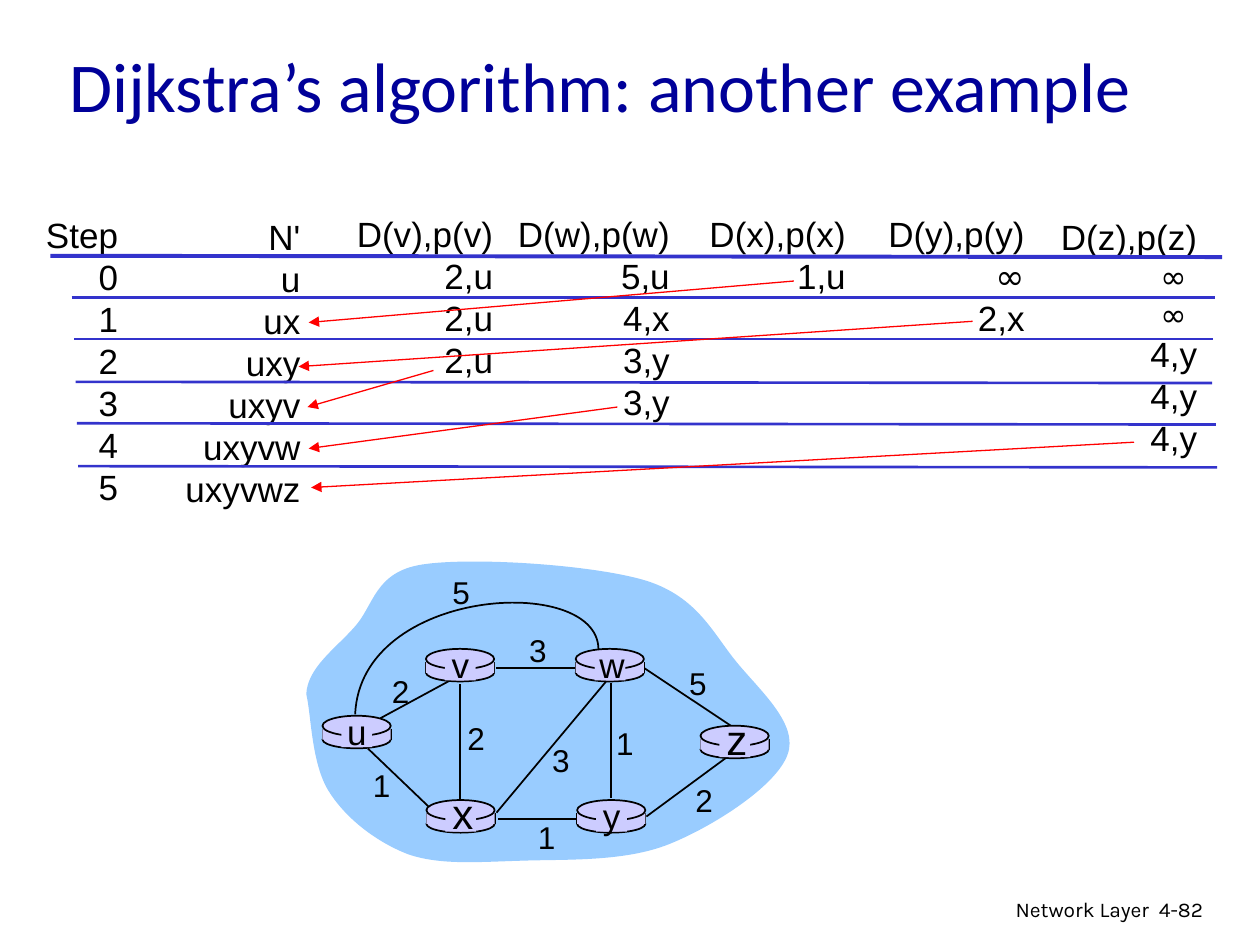
from dataclasses import dataclass

import pptx
import pptx.dml.color
import pptx.enum.shapes
import pptx.enum.text
import pptx.oxml
import pptx.oxml.ns
import pptx.util

Pt = pptx.util.Pt
Align = pptx.enum.text.PP_ALIGN
Anchor = pptx.enum.text.MSO_ANCHOR
Shape = pptx.enum.shapes.MSO_SHAPE


@dataclass(frozen=True)
class Theme:
    ink: str = "000000"
    title: str = "000099"
    rule: str = "3333CC"
    arrow: str = "FF0000"
    cloud: str = "99CCFF"
    router: str = "CCCCFF"
    body_font: str = "Arial"
    title_font: str = "Calibri"
    symbol_font: str = "Comic Neue"
    footer_font: str = "Karla"
    title_size: float = 40
    large_size: float = 24
    body_size: float = 20
    small_size: float = 18
    footer_size: float = 12
    line_spacing: float = 1.2
    inset: float = 3.6


THEME = Theme()
INFINITY = ("∞", {"font": THEME.symbol_font})
SMALL_INFINITY = ("∞ ", {"font": THEME.symbol_font, "size": THEME.small_size})

# left, top, width, lines
COLUMNS = [
    (19, 118.4, 55.6, ["Step", "0", "1", "2", "3", "4", "5"]),
    (98.6, 119.5, 80.2, ["N'", "u", "ux", "uxy", "uxyv", "uxyvw", "uxyvwz"]),
    (196.6, 118.1, 92.3, ["D(v),p(v)", "2,u", "2,u", "2,u"]),
    (287.9, 118.1, 102, ["D(w),p(w)", "5,u", "4,x", "3,y", "3,y"]),
    (398.2, 118.1, 92.2, ["D(x),p(x)", "1,u"]),
    (500.4, 118.1, 92.2, ["D(y),p(y)", INFINITY, "2,x"]),
    (599, 119.5, 92.2,
     ["D(z),p(z)", SMALL_INFINITY, SMALL_INFINITY, "4,y", "4,y", "4,y"]),
]
HEADER_RULE = ((28.8, 146.2), (698.4, 146.9))
ROW_RULES = [
    ((41, 169.9), (694.1, 169.9)),
    ((42.5, 193.7), (693.4, 193.7)),
    ((43.2, 218.2), (692.6, 218.9)),
    ((43.9, 241.9), (694.8, 242.6)),
    ((44.6, 266.4), (695.5, 267.1)),
]
CHOICE_ARROWS = [
    ((453.6, 160.6), (176.4, 184.3)),
    ((555.8, 183.6), (170.6, 209.5)),
    ((247.7, 211.7), (175.7, 232.6)),
    ((352.8, 232.6), (176.4, 256.3)),
    ((648, 252.7), (177.8, 278.6)),
]
# Each curve is a start point followed by groups of two controls and an end.
CLOUD = [
    (175, 396.7),
    (175.7, 381.6), (191.5, 370.8), (202.3, 358.6),
    (213.8, 346.3), (213.8, 326.9), (241.2, 322.6),
    (269.3, 318.2), (339.1, 322.6), (369.4, 331.9),
    (398.9, 341.3), (407.5, 362.2), (421.2, 378.7),
    (434.9, 395.3), (456.5, 414), (450, 431.3),
    (443.5, 449.3), (407.5, 472.3), (382.3, 482.4),
    (357.1, 492.5), (324, 491), (299.5, 491.8),
    (274.3, 492.5), (252, 494.6), (233.3, 488.2),
    (214.6, 481), (197.3, 467.3), (187.9, 452.2),
    (177.8, 436.3), (177.8, 407.5), (175, 396.7),
]
EDGE_U_W = [(342, 370.8), (341.3, 327.6), (205.9, 335.5), (203, 408.2)]
# start, end, weight, left and top of the weight
EDGES = [
    ((217.4, 410.4), (259.9, 387.4), "2", (216.7, 380.2)),
    ((262.8, 391), (262.8, 457.9), "2", (259.9, 407.5)),
    ((244.8, 460.8), (210.2, 427.7), "1", (205.9, 434.2)),
    ((283.7, 464.4), (346.3, 389.5), "3", (308.2, 419.8)),
    ((329.8, 468), (284.4, 468), "1", (300.2, 463.7)),
    ((349.2, 390.2), (349.2, 455.8), "1", (344.9, 410.4)),
    ((369.4, 466.6), (415.4, 432.7), "2", (390.2, 442.8)),
    ((417.6, 414.7), (367.9, 381.6), "5", (386.6, 375.8)),
    ((329, 381.6), (283.7, 381.6), "3", (295.2, 357.1)),
]
ROUTERS = [
    ("u", 184.3, 409, THEME.body_size),
    ("y", 329.8, 457.2, THEME.body_size),
    ("x", 243.7, 457.2, THEME.large_size),
    ("w", 329, 370.8, THEME.body_size),
    ("v", 243.4, 370.8, THEME.body_size),
    ("z", 400.3, 414.7, THEME.large_size),
]


def rgb(value):
    return pptx.dml.color.RGBColor.from_string(value)


def bend_segments(shape):
    """Turn every three straight segments of a freeform into one cubic curve."""
    qn = pptx.oxml.ns.qn
    segments = list(shape._element.iter(qn("a:lnTo")))
    for index in range(0, len(segments), 3):
        curve = pptx.oxml.parse_xml(f'<a:cubicBezTo {pptx.oxml.ns.nsdecls("a")}/>')
        segments[index].addprevious(curve)
        for segment in segments[index:index + 3]:
            curve.append(segment.find(qn("a:pt")))
            segment.getparent().remove(segment)


def write_text(frame, lines, font=THEME.body_font, size=THEME.body_size,
               color=THEME.ink, align=Align.LEFT):
    """Fill a frame; a line is a string or a (string, overrides) pair."""
    for index, line in enumerate(lines):
        text, overrides = (line, {}) if isinstance(line, str) else line
        paragraph = frame.paragraphs[0] if index == 0 else frame.add_paragraph()
        paragraph.alignment = align
        run = paragraph.add_run()
        run.text = text
        run.font.name = overrides.get("font", font)
        run.font.size = Pt(overrides.get("size", size))
        run.font.color.rgb = rgb(color)
        paragraph.line_spacing = Pt(overrides.get("size", size) * THEME.line_spacing)


class SlideBuilder:
    def __init__(self, slide, theme):
        self.slide = slide
        self.theme = theme

    def text(self, left, top, width, height, lines, wrap=False, anchor=Anchor.TOP, **style):
        box = self.slide.shapes.add_textbox(Pt(left), Pt(top), Pt(width), Pt(height))
        box.text_frame.word_wrap = wrap
        box.text_frame.vertical_anchor = anchor
        write_text(box.text_frame, lines, **style)

    def paint(self, shape, fill=None, line=None):
        shape.shadow.inherit = False
        if fill:
            shape.fill.solid()
            shape.fill.fore_color.rgb = rgb(fill)
        else:
            shape.fill.background()
        if line:
            shape.line.color.rgb = rgb(line)
            shape.line.width = Pt(1)
        else:
            shape.line.fill.background()

    def shape(self, kind, left, top, width, height, **paint):
        shape = self.slide.shapes.add_shape(kind, Pt(left), Pt(top), Pt(width), Pt(height))
        self.paint(shape, **paint)

    def curve(self, points, closed=False, **paint):
        first, *rest = [(Pt(x), Pt(y)) for x, y in points]
        builder = self.slide.shapes.build_freeform(*first)
        builder.add_line_segments(rest, close=closed)
        shape = builder.convert_to_shape()
        bend_segments(shape)
        self.paint(shape, **paint)

    def line(self, start, end, color, width, arrow=False):
        connector = self.slide.shapes.add_connector(
            pptx.enum.shapes.MSO_CONNECTOR.STRAIGHT, *(Pt(value) for value in start + end))
        connector.line.color.rgb = rgb(color)
        connector.line.width = Pt(width)
        if arrow:
            tail = pptx.oxml.parse_xml(
                f'<a:tailEnd {pptx.oxml.ns.nsdecls("a")} type="triangle"/>')
            connector.line._get_or_add_ln().append(tail)
        effects = pptx.oxml.parse_xml(f'<a:effectLst {pptx.oxml.ns.nsdecls("a")}/>')
        connector._element.spPr.append(effects)

    def column(self, left, top, width, lines):
        height = 2 * self.theme.inset + len(lines) * self.theme.body_size * self.theme.line_spacing
        self.text(left, top, width, height, lines, align=Align.RIGHT)

    def weight(self, left, top, value):
        self.text(left, top, 24.5, 28.8, [value], size=self.theme.small_size, align=Align.CENTER)

    def router(self, name, left, top, size):
        theme, width = self.theme, 39
        outlined = {"fill": theme.router, "line": theme.ink}
        self.shape(Shape.OVAL, left, top + 8.6, width, 10, **outlined)
        for x in (left, left + width):
            self.line((x, top + 7.4), (x, top + 13.7), theme.ink, 1)
        self.shape(Shape.RECTANGLE, left, top + 7.4, width, 6.3, fill=theme.router)
        self.shape(Shape.OVAL, left, top, width, 11.5, **outlined)
        self.shape(Shape.RECTANGLE, left + 10.8, top + 1.4, 17.6, 16.6, fill=theme.router)
        height = size * theme.line_spacing + 2 * theme.inset
        shift, rise = (6.4, 6.5) if size == theme.body_size else (7.5, 10.8)
        self.text(left + shift, top - rise, 26.6, height, [name], size=size, align=Align.CENTER)


def main():
    presentation = pptx.Presentation()
    presentation.slide_width, presentation.slide_height = Pt(720), Pt(540)
    slide = presentation.slides.add_slide(presentation.slide_layouts[6])
    builder = SlideBuilder(slide, THEME)

    footer = {"font": THEME.footer_font, "size": THEME.footer_size, "wrap": True}
    builder.text(435.6, 509, 228.2, 22, ["Network Layer"], align=Align.RIGHT, **footer)
    builder.text(655.2, 509, 53.3, 22, ["4-82"], **footer)
    builder.text(32.4, 10.5, 658.8, 75.6, ["Dijkstra’s algorithm: another example"],
                 wrap=True, anchor=Anchor.MIDDLE, font=THEME.title_font,
                 size=THEME.title_size, color=THEME.title)

    for column in COLUMNS:
        builder.column(*column)
    builder.line(*HEADER_RULE, THEME.rule, 2.25)
    for rule in ROW_RULES:
        builder.line(*rule, THEME.rule, 1.5)

    builder.curve(CLOUD, closed=True, fill=THEME.cloud)
    builder.curve(EDGE_U_W, line=THEME.ink)
    for start, end, _, _ in EDGES:
        builder.line(start, end, THEME.ink, 1)
    for router in ROUTERS:
        builder.router(*router)
    for _, _, value, position in EDGES:
        builder.weight(*position, value)
    builder.weight(251.3, 324, "5")

    for arrow in CHOICE_ARROWS:
        builder.line(*arrow, THEME.arrow, 0.75, arrow=True)
    presentation.save("out.pptx")


if __name__ == "__main__":
    main()
